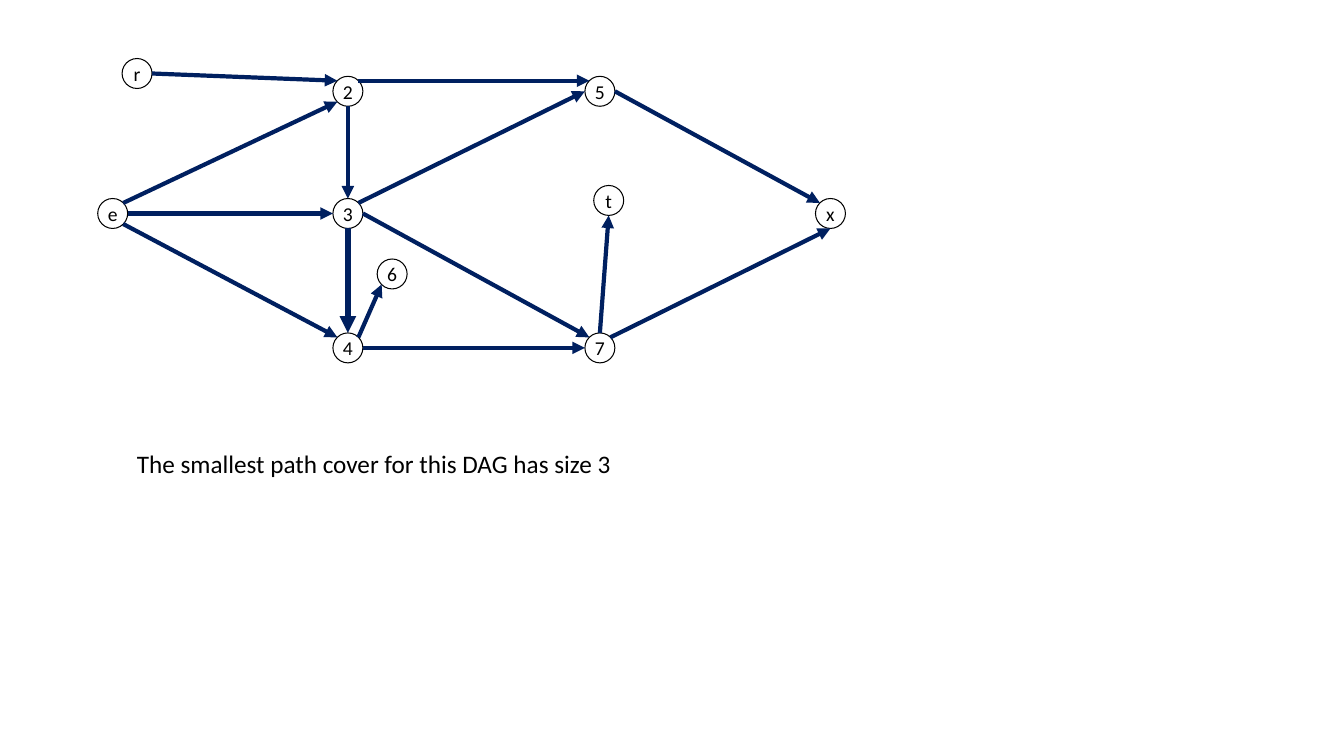
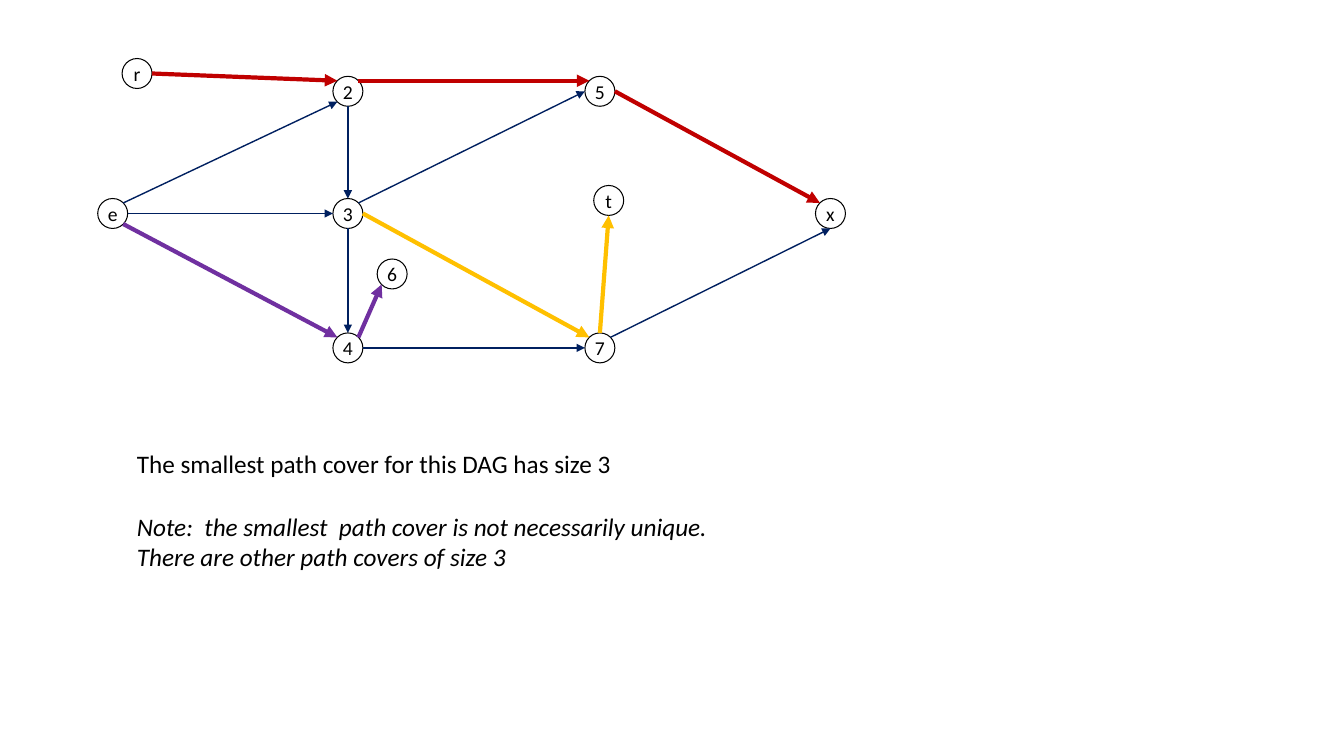
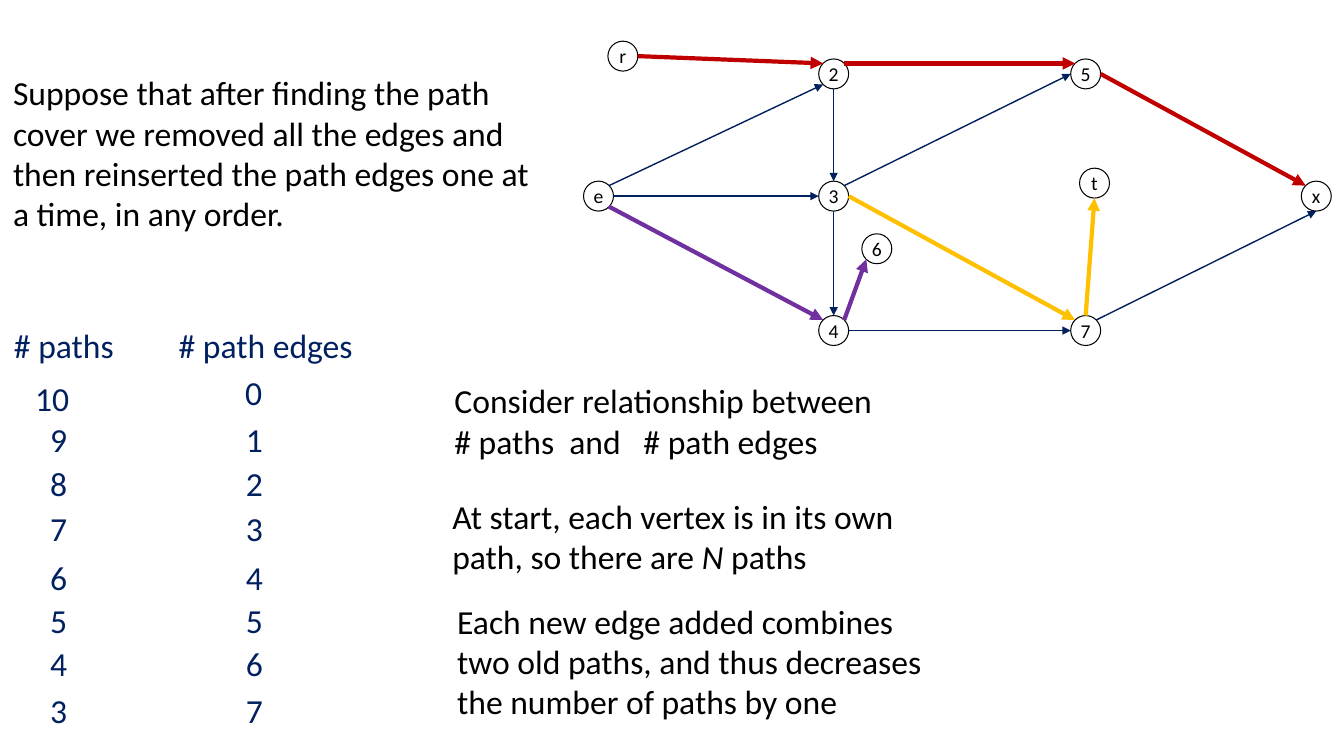
from lxml import etree
from pptx import Presentation
from pptx.dml.color import RGBColor
from pptx.enum import shapes, text
from pptx.oxml import ns
from pptx.util import Pt

BLACK = RGBColor(0x00, 0x00, 0x00)
NAVY = RGBColor(0x00, 0x20, 0x60)
RED = RGBColor(0xC0, 0x00, 0x00)
GOLD = RGBColor(0xFF, 0xC0, 0x00)
PURPLE = RGBColor(0x70, 0x30, 0xA0)
FONT = "Calibri"

DIAMETER = 21.4
# Left and top of each vertex
VERTICES = {
    "e": (69.8, 141.8), "2": (237.8, 54.5), "3": (237.8, 141.8), "4": (237.8, 237.8),
    "5": (417.8, 54.5), "7": (417.8, 237.8), "x": (582.5, 141.8), "r": (87.2, 41.8),
    "t": (424.1, 132.5), "6": (269.4, 185),
}
# Points on a vertex where edges attach, as fractions of its box
SITES = {
    "N": (0.5, 0), "NE": (0.85, 0.15), "E": (1, 0.5), "SE": (0.85, 0.85),
    "S": (0.5, 1), "SW": (0.15, 0.85), "W": (0, 0.5), "NW": (0.15, 0.15),
}
# Tail vertex, its site, head vertex, its site
EDGES = [
    ("e", "NE", "2", "SW"), ("e", "E", "3", "W"), ("e", "SE", "4", "NW"),
    ("3", "S", "4", "N"), ("3", "E", "7", "NW"), ("4", "E", "7", "W"),
    ("2", "S", "3", "N"), ("5", "E", "x", "NW"), ("7", "NE", "x", "S"),
    ("3", "NE", "5", "W"), ("r", "E", "2", "NW"), ("2", "NE", "5", "NW"),
    ("7", "N", "t", "S"), ("4", "NE", "6", "SW"),
]
ALL_EDGES = {tail + head: (NAVY, 3) for tail, _, head, _ in EDGES} | {"34": (NAVY, 4)}
PATH_COVER = {
    "r2": (RED, 3), "25": (RED, 3), "5x": (RED, 3),
    "e4": (PURPLE, 3), "46": (PURPLE, 3),
    "37": (GOLD, 3), "7t": (GOLD, 3),
}


def write(frame, content, size=24, color=BLACK, align=text.PP_ALIGN.LEFT, wrap=True):
    """Fill a text frame, one paragraph per line; *stars* enclose italics."""
    frame.word_wrap = wrap
    for number, line in enumerate(content.split("\n")):
        para = frame.add_paragraph() if number else frame.paragraphs[0]
        para.alignment = align
        for position, part in enumerate(line.split("*")):
            if part:
                span = para.add_run()
                span.text = part
                span.font.name = FONT
                span.font.size = Pt(size)
                span.font.color.rgb = color
                span.font.italic = position % 2 == 1


def draw_graph(page, styles, shift=(0, 0), moved=None):
    """Draw the DAG; edges without a style are thin, moved replaces vertex places."""
    corners = {
        name: (left + shift[0], top + shift[1])
        for name, (left, top) in (VERTICES | (moved or {})).items()
    }
    for name, (left, top) in corners.items():
        vertex = page.shapes.add_shape(
            shapes.MSO_SHAPE.OVAL, Pt(left), Pt(top), Pt(DIAMETER), Pt(DIAMETER))
        vertex.shadow.inherit = False
        vertex.fill.background()
        vertex.line.color.rgb = BLACK
        vertex.line.width = Pt(0.75)
        vertex.text_frame.vertical_anchor = text.MSO_ANCHOR.MIDDLE
        write(vertex.text_frame, name, size=14, align=text.PP_ALIGN.CENTER, wrap=False)

    for tail, tail_site, head, head_site in EDGES:
        ends = [
            Pt(corner + DIAMETER * fraction)
            for name, site in ((tail, tail_site), (head, head_site))
            for corner, fraction in zip(corners[name], SITES[site])
        ]
        edge = page.shapes.add_connector(shapes.MSO_CONNECTOR.STRAIGHT, *ends)
        color, width = styles.get(tail + head, (NAVY, 1))
        edge.line.color.rgb = color
        edge.line.width = Pt(width)
        etree.SubElement(edge.line._get_or_add_ln(), ns.qn("a:tailEnd"), type="triangle")
        etree.SubElement(edge._element.spPr, ns.qn("a:effectLst"))


deck = Presentation()
deck.slide_width, deck.slide_height = Pt(960), Pt(540)
blank = deck.slide_layouts[6]

# Slides 1 and 2: the DAG and its smallest path cover
CAPTION = (90.7, 316.8, 532, 29, "The smallest path cover for this DAG has size 3")
NOTE = (90.7, 361.5, 547, 51,
        "*Note:  the smallest  path cover is not necessarily unique.*\n"
        "*There are other path covers of size 3*")
for styles, captions in ((ALL_EDGES, [CAPTION]), (PATH_COVER, [CAPTION, NOTE])):
    page = deck.slides.add_slide(blank)
    draw_graph(page, styles)
    for left, top, width, height, content in captions:
        box = page.shapes.add_textbox(Pt(left), Pt(top), Pt(width), Pt(height))
        write(box.text_frame, content, size=18)

# Slide 3: number of paths against number of path edges
page = deck.slides.add_slide(blank)
draw_graph(page, PATH_COVER, shift=(347, -12.4), moved={"6": (268.6, 179.4)})
labels = [
    (2.2, 48.2, 386, 124, BLACK,
     "Suppose that after finding the path cover we removed all the edges and "
     "then reinserted the path edges one at a time, in any order."),
    (317.5, 268, 397, 65.5, BLACK,
     "Consider relationship between\n# paths  and   # path edges"),
    (316, 350.8, 371.5, 65.5, BLACK,
     "At start, each vertex is in its own path, so there are *N* paths"),
    (319.5, 425.5, 357, 94.5, BLACK,
     "Each new edge added combines two old paths, and thus decreases "
     "the number of paths by one"),
    (2.9, 228.5, 96, 36, NAVY, "# paths"),
    (120.5, 228.5, 143, 36, NAVY, "# path edges"),
    (18, 266.4, 44, 36, NAVY, "10"),
    (168, 262, 29, 36, NAVY, "0"),
]
row_tops = [295.5, 327, 359.5, 394.5, 425, 456, 489]
for edge_count, top in enumerate(row_tops, start=1):
    labels.append((28.8, top, 22.3, 36, NAVY, str(10 - edge_count)))
    labels.append((168.5, top, 22.3, 36, NAVY, str(edge_count)))
for left, top, width, height, color, content in labels:
    box = page.shapes.add_textbox(Pt(left), Pt(top), Pt(width), Pt(height))
    write(box.text_frame, content, color=color)

deck.save("out.pptx")
